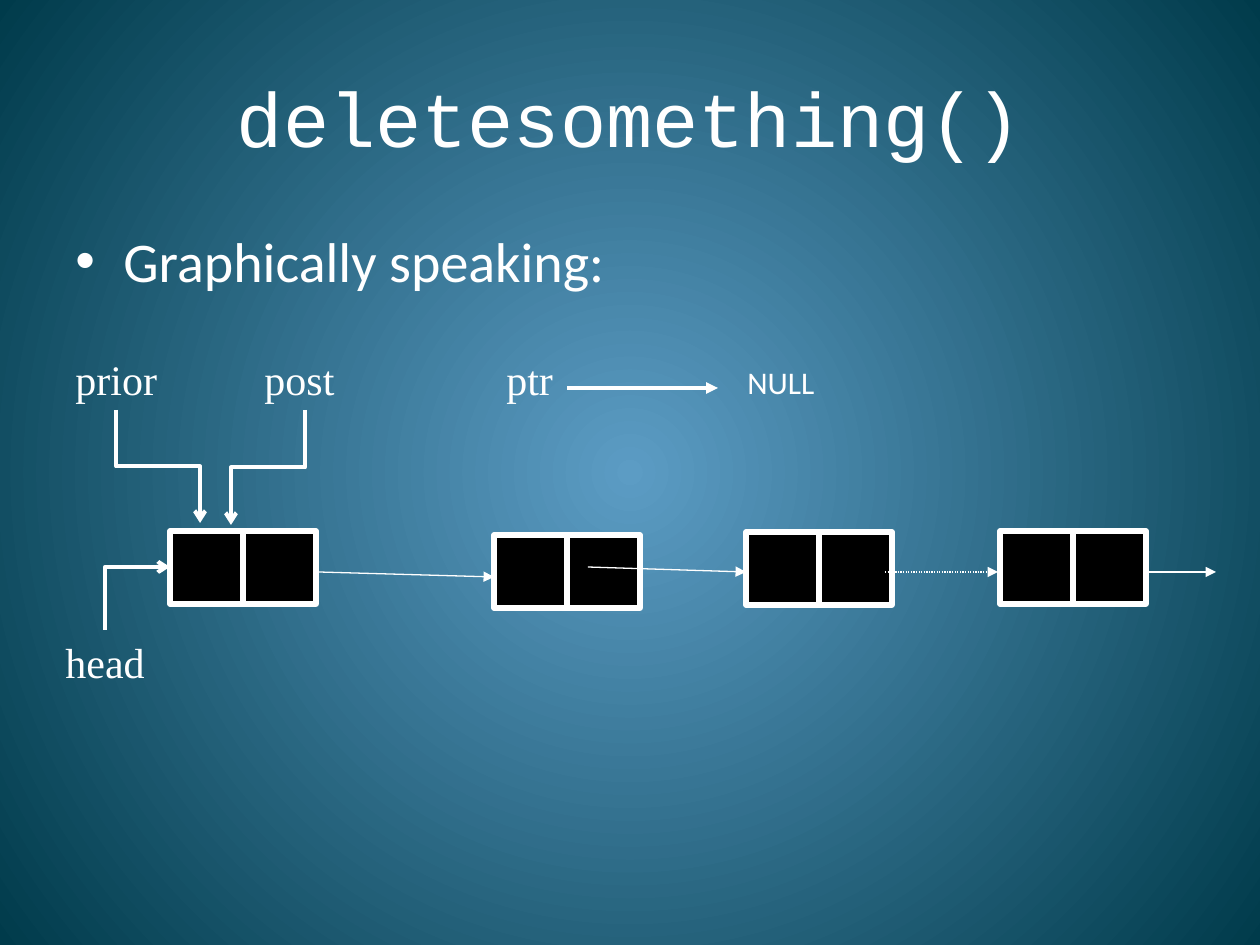
from lxml.etree import SubElement
from pptx import Presentation
from pptx.dml.color import RGBColor
from pptx.enum.dml import MSO_LINE
from pptx.enum.shapes import MSO_CONNECTOR, MSO_SHAPE
from pptx.enum.text import MSO_ANCHOR, PP_ALIGN
from pptx.oxml.ns import qn
from pptx.util import Pt

PX = 914400 / 126
HUES = {"ink": "FFFFFF", "cell": "000000", "glow": "5C9CC4", "edge": "003B4B"}
SIDE = 73

TITLE = ("deletesomething()", 63, 38, 1134, 157, "Courier New", 44)
POINT = ("Graphically speaking:", 63, 220, 1134, 126, "Calibri", 32)
LABELS = [
    ("ptr", 494, 347, 73, 63, "Times New Roman", 24),
    ("head", 53, 630, 106, 63, "Times New Roman", 24),
    ("prior", 63, 347, 158, 63, "Times New Roman", 24),
    ("post", 252, 347, 96, 63, "Times New Roman", 24),
    ("NULL", 735, 357, 116, 50, "Calibri", 18),
]
NODES = [(170, 531), (494, 535), (746, 532), (1000, 531)]
LINKS = [
    (318, 572, 494, 577, None),
    (588, 567, 746, 572, None),
    (885, 572, 998, 572, MSO_LINE.ROUND_DOT),
    (1147, 572, 1216, 572, None),
]
BENDS = [
    (116, 410, 200, 523, 270, "flipH", "bentConnector3"),
    (305, 410, 231, 525, 90, "", "bentConnector3"),
    (105, 630, 170, 567, 90, "flipH flipV", "bentConnector2"),
]


def emu(*vals):
    return [round(v * PX) for v in vals]


def hue(name):
    return RGBColor.from_string(HUES[name])


def style(obj, **vals):
    for key, val in vals.items():
        setattr(obj, key, val)


def write(slide, text, x, y, w, h, font, size):
    box = slide.shapes.add_textbox(*emu(x, y, w, h))
    frame = box.text_frame
    frame.word_wrap = True
    para = frame.paragraphs[0]
    run = para.add_run()
    run.text = text
    style(run.font, name=font, size=Pt(size))
    run.font.color.rgb = hue("ink")
    return frame, para


def stroke(line, width):
    line.color.rgb = hue("ink")
    line.width = Pt(width)


def wire(slide, kind, ends, width, tip):
    link = slide.shapes.add_connector(kind, *emu(*ends))
    stroke(link.line, width)
    SubElement(link.line._get_or_add_ln(), qn("a:tailEnd"), type=tip)
    SubElement(link._element.spPr, qn("a:effectLst"))
    return link


def bend(slide, x1, y1, x2, y2, turn, flips, prst):
    mx, my = (x1 + x2) / 2, (y1 + y2) / 2
    dx, dy = abs(y2 - y1) / 2, abs(x2 - x1) / 2
    ends = (mx - dx, my - dy, mx + dx, my + dy)
    link = wire(slide, MSO_CONNECTOR.ELBOW, ends, 2.25, "arrow")
    props = link._element.spPr
    form = props.find(qn("a:xfrm"))
    form.set("rot", str(turn * 60000))
    for flip in flips.split():
        form.set(flip, "1")
    props.find(qn("a:prstGeom")).set("prst", prst)


def paint(slide):
    fill = slide.background.fill
    fill.gradient()
    for stop, name, pos in zip(fill.gradient_stops, ("glow", "edge"), (0, 1)):
        stop.color.rgb = hue(name)
        stop.position = pos
    grad = slide._element.find(".//" + qn("a:gradFill"))
    grad.remove(grad.find(qn("a:lin")))
    ring = SubElement(grad, qn("a:path"), {"path": "circle"})
    SubElement(ring, qn("a:fillToRect"), dict.fromkeys("ltrb", "50000"))


def main():
    deck = Presentation()
    deck.slide_width, deck.slide_height = emu(1260, 945)
    slide = deck.slides.add_slide(deck.slide_layouts[6])
    paint(slide)

    frame, para = write(slide, *TITLE)
    frame.vertical_anchor = MSO_ANCHOR.MIDDLE
    para.alignment = PP_ALIGN.CENTER

    frame, para = write(slide, *POINT)
    props = para._p.get_or_add_pPr()
    dent = emu(48)[0]
    props.set("marL", str(dent))
    props.set("indent", str(-dent))
    SubElement(props, qn("a:buFont"), typeface="Arial")
    SubElement(props, qn("a:buChar"), char="•")

    for x, y in NODES:
        for col in range(2):
            cell = slide.shapes.add_shape(
                MSO_SHAPE.RECTANGLE, *emu(x + col * SIDE, y, SIDE, SIDE))
            cell.shadow.inherit = False
            cell.fill.solid()
            cell.fill.fore_color.rgb = hue("cell")
            stroke(cell.line, 3)

    for *ends, dash in LINKS:
        link = wire(slide, MSO_CONNECTOR.STRAIGHT, ends, 0.75, "triangle")
        if dash:
            link.line.dash_style = dash
    wire(slide, MSO_CONNECTOR.ELBOW, (567, 388, 718, 388), 2.25, "triangle")
    for item in BENDS:
        bend(slide, *item)
    for label in LABELS:
        write(slide, *label)

    deck.save("out.pptx")


if __name__ == "__main__":
    main()
